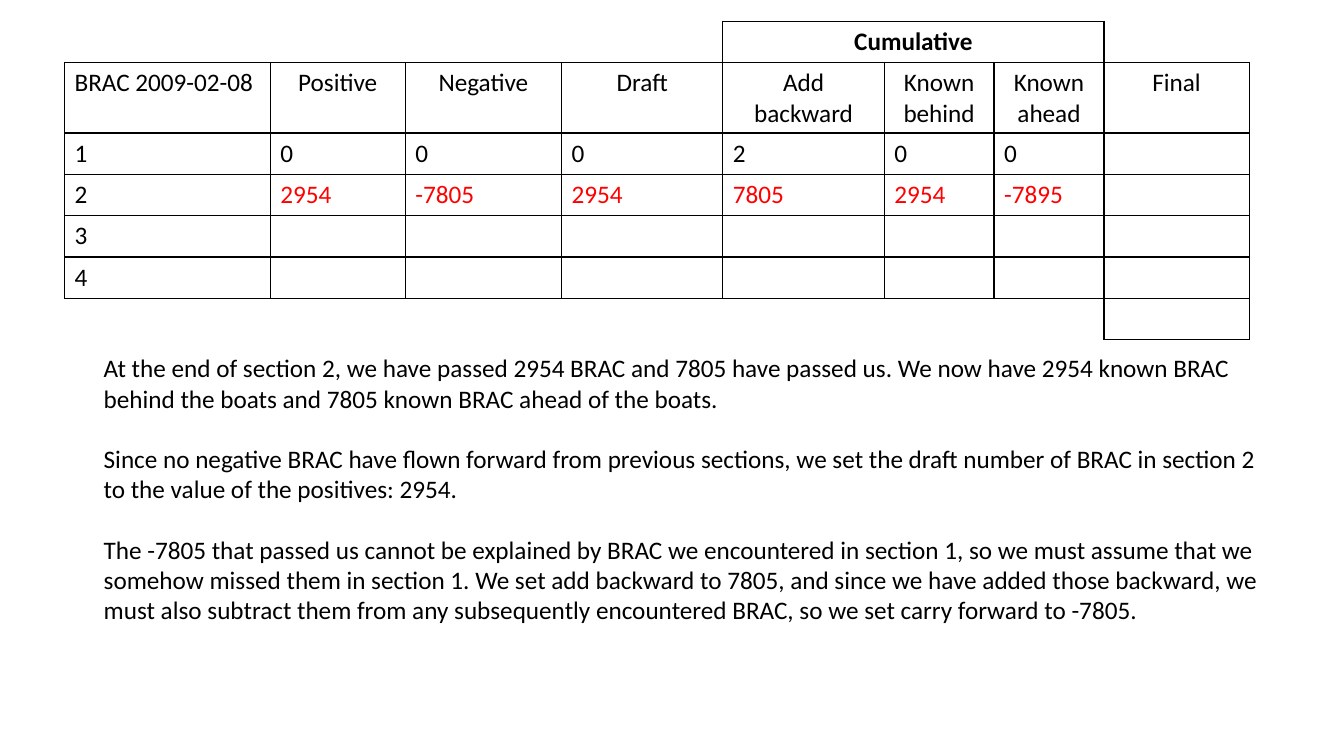
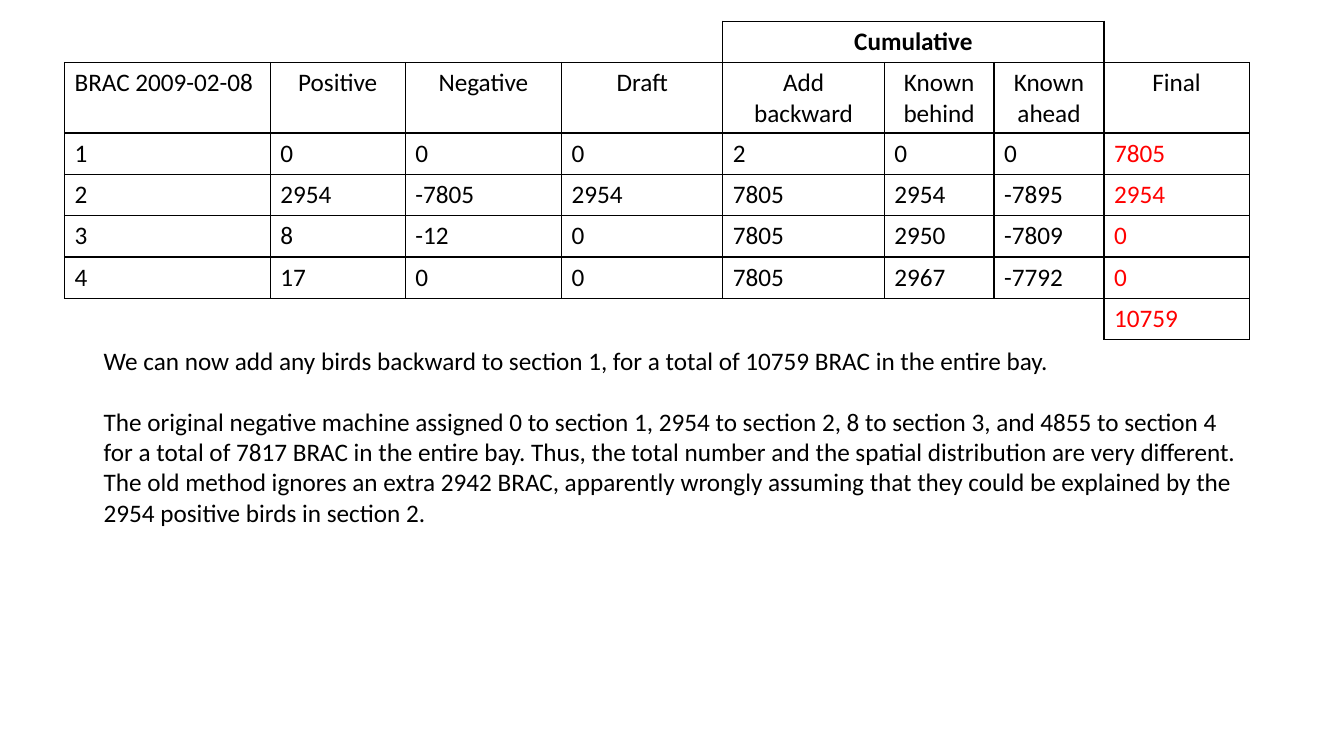
from dataclasses import dataclass

from lxml.etree import SubElement
from pptx import Presentation
from pptx.dml.color import RGBColor
from pptx.enum.text import MSO_AUTO_SIZE as AutoSize, PP_ALIGN as Align
from pptx.oxml.ns import qn
from pptx.util import Inches, Pt


@dataclass(frozen=True)
class Theme:
    font: str = "Calibri"
    size: int = 18
    paragraph_gap: float = 21.6
    ink: str = "000000"
    highlight: str = "FF0000"
    border_width: float = 1


THEME = Theme()
SLIDE_WIDTH, SLIDE_HEIGHT = 13.33, 7.5
TABLE_LEFT, TABLE_TOP = 0.64, 0.21
COLUMN_WIDTHS = [2.04, 1.34, 1.55, 1.6, 1.6, 1.09, 1.09, 1.44]
ROW_HEIGHTS = [0.41, 0.7] + [0.41] * 5
NOTE_LEFT = 0.93

HEADINGS = ["BRAC 2009-02-08", "Positive", "Negative", "Draft",
            "Add backward", "Known behind", "Known ahead", "Final"]
GROUP_FIRST, GROUP_LAST = 4, 6
FINAL = len(HEADINGS) - 1
TOTAL_ROW = len(ROW_HEIGHTS) - 1
# Offset of the neighbouring cell across each side, in schema order
SIDES = {"a:lnL": (0, -1), "a:lnR": (0, 1), "a:lnT": (-1, 0), "a:lnB": (1, 0)}

SECTION_1 = ["1", "0", "0", "0", "2", "0", "0"]
SECTION_2 = ["2", "2954", "-7805", "2954", "7805", "2954", "-7895"]
SECTION_3 = ["3", "8", "-12", "0", "7805", "2950", "-7809"]
SECTION_4 = ["4", "17", "0", "0", "7805", "2967", "-7792"]


def add_run(paragraph, text, color=THEME.ink, bold=False):
    run = paragraph.add_run()
    run.text = text
    run.font.name = THEME.font
    run.font.size = Pt(THEME.size)
    run.font.bold = bold
    run.font.color.rgb = RGBColor.from_string(color)


def is_framed(row, column):
    """Tell whether a grid position belongs to the ruled part of the table."""
    if row == 0:
        return GROUP_FIRST <= column <= GROUP_LAST
    if row == TOTAL_ROW:
        return column == FINAL
    return 0 < row < TOTAL_ROW and 0 <= column <= FINAL


def set_borders(cell, row, column):
    """Rule every side that touches a framed cell and clear the others."""
    properties = cell._tc.get_or_add_tcPr()
    for tag, (down, across) in SIDES.items():
        line = SubElement(properties, qn(tag), w=str(Pt(THEME.border_width)))
        if is_framed(row, column) or is_framed(row + down, column + across):
            fill = SubElement(line, qn("a:solidFill"))
            SubElement(fill, qn("a:srgbClr"), val=THEME.ink)
        else:
            SubElement(line, qn("a:noFill"))


def fill_cell(cell, text, color, centered, bold):
    paragraph = cell.text_frame.paragraphs[0]
    paragraph.font.size = Pt(THEME.size)
    if centered:
        paragraph.alignment = Align.CENTER
    if text:
        add_run(paragraph, text, color, bold)


def add_count_table(slide, sections, finals, is_new):
    """Add the table; is_new(row, column) picks the highlighted values."""
    group = [""] * GROUP_FIRST + ["Cumulative"]
    body = [section + [final] for section, final in zip(sections, finals)]
    rows = [group, HEADINGS, *body, [""] * FINAL + [finals[-1]]]

    frame = slide.shapes.add_table(
        len(ROW_HEIGHTS), len(COLUMN_WIDTHS), Inches(TABLE_LEFT), Inches(TABLE_TOP),
        Inches(sum(COLUMN_WIDTHS)), Inches(sum(ROW_HEIGHTS)))
    table = frame.table
    table.first_row = table.horz_banding = False
    for column, width in zip(table.columns, COLUMN_WIDTHS):
        column.width = Inches(width)
    for row, height in zip(table.rows, ROW_HEIGHTS):
        row.height = Inches(height)
    table.cell(0, GROUP_FIRST).merge(table.cell(0, GROUP_LAST))

    for r in range(len(ROW_HEIGHTS)):
        for c in range(len(COLUMN_WIDTHS)):
            cell = table.cell(r, c)
            set_borders(cell, r, c)
            cell.fill.background()
            text = rows[r][c] if c < len(rows[r]) else ""
            color = THEME.highlight if r > 1 and is_new(r, c) else THEME.ink
            fill_cell(cell, text, color, centered=r < 2 and c > 0, bold=r == 0)


def add_note(slide, top, width, height, texts):
    box = slide.shapes.add_textbox(
        Inches(NOTE_LEFT), Inches(top), Inches(width), Inches(height))
    frame = box.text_frame
    frame.word_wrap = True
    frame.auto_size = AutoSize.SHAPE_TO_FIT_TEXT
    for index, text in enumerate(texts):
        paragraph = frame.add_paragraph() if index else frame.paragraphs[0]
        if index:
            paragraph.space_before = Pt(THEME.paragraph_gap)
        add_run(paragraph, text)


def add_section_2_slide(slide):
    add_note(slide, 3.45, 11.68, 3.13, [
        "At the end of section 2, we have passed 2954 BRAC and 7805 have passed us. "
        "We now have 2954 known BRAC behind the boats and 7805 known BRAC ahead of "
        "the boats.",
        "Since no negative BRAC have flown forward from previous sections, we set the "
        "draft number of BRAC in section 2 to the value of the positives: 2954.",
        "The -7805 that passed us cannot be explained by BRAC we encountered in "
        "section 1, so we must assume that we somehow missed them in section 1. We set "
        "add backward to 7805, and since we have added those backward, we must also "
        "subtract them from any subsequently encountered BRAC, so we set carry forward "
        "to -7805.",
    ])
    pending = [[number] + [""] * (FINAL - 1) for number in ("3", "4")]
    add_count_table(slide, [SECTION_1, SECTION_2, *pending], [""] * 5,
                    is_new=lambda row, column: row == 3 and column > 0)


def add_total_slide(slide):
    add_note(slide, 3.38, 11.59, 1.92, [
        "We can now add any birds backward to section 1, for a total of 10759 BRAC in "
        "the entire bay.",
        "The original negative machine assigned 0 to section 1, 2954 to section 2, 8 to "
        "section 3, and 4855 to section 4 for a total of 7817 BRAC in the entire bay. "
        "Thus, the total number and the spatial distribution are very different. The "
        "old method ignores an extra 2942 BRAC, apparently wrongly assuming that they "
        "could be explained by the 2954 positive birds in section 2.",
    ])
    add_count_table(slide, [SECTION_1, SECTION_2, SECTION_3, SECTION_4],
                    ["7805", "2954", "0", "0", "10759"],
                    is_new=lambda row, column: column == FINAL)


def main():
    presentation = Presentation()
    presentation.slide_width = Inches(SLIDE_WIDTH)
    presentation.slide_height = Inches(SLIDE_HEIGHT)
    blank_layout = presentation.slide_layouts[6]
    for build in (add_section_2_slide, add_total_slide):
        build(presentation.slides.add_slide(blank_layout))
    presentation.save("out.pptx")


if __name__ == "__main__":
    main()
